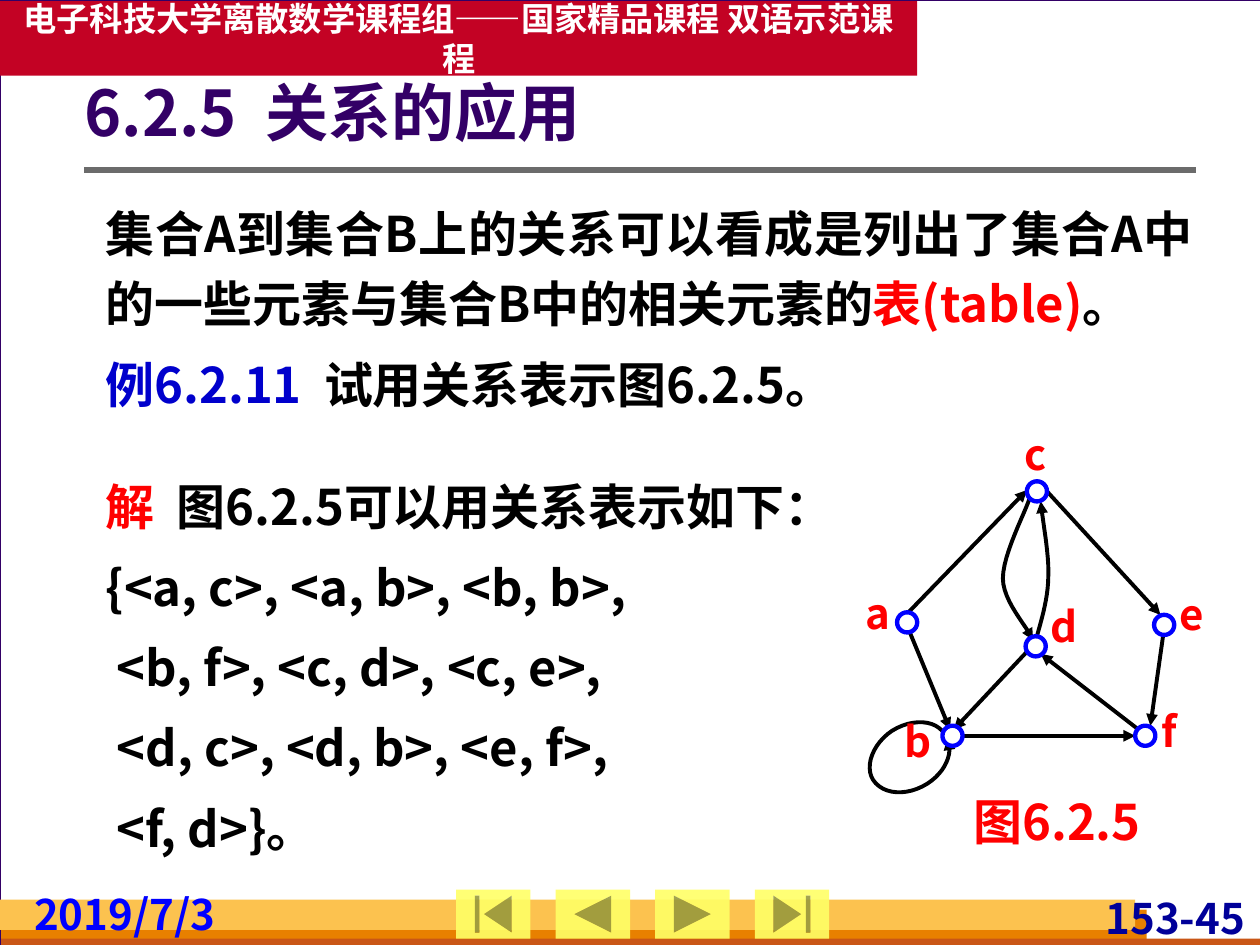
from pptx import Presentation
from pptx.dml.color import RGBColor
from pptx.enum.shapes import MSO_CONNECTOR, MSO_SHAPE
from pptx.enum.text import MSO_ANCHOR, PP_ALIGN
from pptx.oxml.ns import qn
from pptx.util import Inches, Pt
from lxml import etree

RECT, OVAL = MSO_SHAPE.RECTANGLE, MSO_SHAPE.OVAL
BEGIN, END = MSO_SHAPE.ACTION_BUTTON_BEGINNING, MSO_SHAPE.ACTION_BUTTON_END
BACK, NEXT = MSO_SHAPE.ACTION_BUTTON_BACK_OR_PREVIOUS, MSO_SHAPE.ACTION_BUTTON_FORWARD_OR_NEXT
STRAIGHT = MSO_CONNECTOR.STRAIGHT
TOP, MIDDLE = MSO_ANCHOR.TOP, MSO_ANCHOR.MIDDLE
LEFT, CENTER, RIGHT, JUST = PP_ALIGN.LEFT, PP_ALIGN.CENTER, PP_ALIGN.RIGHT, PP_ALIGN.JUSTIFY

THEME = {
    "font": "Noto Sans CJK SC",
    "back": "D8DADA", "white": "FFFFFF", "frame": "330066", "band": "C30224",
    "orange": "E88000", "rust": "C95616", "gold": "FCC24F", "rule": "6B6B6B",
    "button": "FFFF66", "black": "000000", "red": "FF0000", "blue": "0000FF",
    "navy": "000099", "mark": "0000CC",
    "head": 19, "title": 36, "body": 28, "small": 24,
}

BANDS = [
    ((0, 0, 10.01, 7.5), "white", "frame"),
    ((0, 0.01, 7.28, 0.59), "band", None),
    ((0.01, 7.22, 9.09, 0.28), "orange", None),
    ((0.01, 7.45, 10, 0.08), "rust", None),
    ((0, 7.14, 9.01, 0.24), "gold", None),
]
BUTTONS = [BEGIN, BACK, NEXT, END]

HEAD = [[("电子科技大学离散数学课程组——国家精品课程 双语示范课程", "white")]]
TITLE = [[("6.2.5  关系的应用", "frame")]]
BODY = [
    [("集合A到集合B上的关系可以看成是列出了集合A中的一些元素与集合B中的相关元素的", "black"),
     ("表(table)", "red"), ("。", "black")],
    [("例6.2.11  ", "mark"), ("试用关系表示图6.2.5。", "black")],
]
ANSWER = [
    [("解  ", "red"), ("图6.2.5可以用关系表示如下：", "black")],
    [("{<a, c>, <a, b>, <b, b>,", "black")],
    [("<b, f>, <c, d>, <c, e>,", "black")],
    [("<d, c>, <d, b>, <e, f>,", "black")],
    [("<f, d>}。", "black")],
]
TEXTS = [
    ((0, 0.01, 7.28, 0.59), HEAD, "head", {"align": CENTER, "anchor": MIDDLE, "wrap": False}),
    ((8.47, 7.08, 1.45, 0.4), [[("153-45", "navy")]], "small",
     {"align": RIGHT, "inset": (0.04, 0, 0.04, 0)}),
    ((0.23, 7.05, 1.65, 0.4), [[("2019/7/3", "blue")]], "small", {"inset": (0.04, 0, 0.04, 0)}),
    ((0.67, 0.6, 8.82, 0.64), TITLE, "title",
     {"anchor": MIDDLE, "inset": (0, 0.05, 0.1, 0.05), "pitch": 0.9}),
    ((0.74, 1.47, 8.82, 1.88), BODY, "body", {"align": JUST, "pitch": 1.2, "gap": 5.6}),
    ((0.74, 3.64, 7.14, 3.28), ANSWER, "body", {"pitch": 1.2, "gap": 5.6, "hang": (2, 0.09)}),
    ((7.49, 6.28, 1.8, 0.47), [[("图6.2.5", "red")]], "body",
     {"align": CENTER, "inset": (0, 0, 0, 0)}),
]

NODES = {
    "a": ((7.2, 4.94), (6.87, 4.66)),
    "b": ((7.56, 5.84), (7.18, 5.68)),
    "c": ((8.23, 3.9), (8.13, 3.4)),
    "d": ((8.22, 5.13), (8.34, 4.77)),
    "e": ((9.24, 4.96), (9.36, 4.67)),
    "f": ((9.09, 5.84), (9.22, 5.6)),
}
SIZE = 0.16
EDGES = [
    ((7.2, 4.87), (8.15, 3.89)),
    ((7.18, 4.92), (7.54, 5.79)),
    ((8.31, 3.9), (9.21, 4.88)),
    ((8.2, 5.12), (7.57, 5.79)),
    ((9.25, 4.91), (9.13, 5.76)),
    ((7.54, 5.84), (9.01, 5.84)),
    ((9.1, 5.84), (8.26, 5.19)),
]
CURVES = [
    [(7.5, 5.83), (7.43, 5.71), (7.24, 5.7), (7.08, 5.8), (6.93, 5.9), (6.86, 6.08),
     (6.93, 6.19), (7.01, 6.31), (7.2, 6.32), (7.36, 6.22), (7.5, 6.13), (7.57, 5.98),
     (7.52, 5.86)],
    [(8.23, 5.05), (8.25, 4.97), (8.32, 4.76), (8.32, 4.58), (8.33, 4.4), (8.27, 4.11),
     (8.26, 3.98)],
    [(8.17, 3.96), (8.14, 4.06), (7.96, 4.4), (7.96, 4.59), (7.96, 4.77), (8.15, 4.97),
     (8.2, 5.08)],
]
STEPS = 12


def tone(name):
    return RGBColor.from_string(THEME[name])


def apply(item, values):
    for name, value in values.items():
        setattr(item, name, value)


def stroke(line, color, width):
    line.color.rgb = tone(color)
    line.width = Pt(width)


def add_form(shapes, kind, place, fill, edge=None, width=0.75):
    form = shapes.add_shape(kind, *map(Inches, place))
    form.shadow.inherit = False
    form.fill.solid()
    form.fill.fore_color.rgb = tone(fill)
    if edge:
        stroke(form.line, edge, width)
    else:
        form.line.fill.background()
    return form


def add_text(shapes, place, lines, size, align=LEFT, anchor=TOP, wrap=True,
             inset=(0.1, 0.05, 0.1, 0.05), pitch=1, gap=0, hang=None):
    frame = shapes.add_textbox(*map(Inches, place)).text_frame
    sides = ("margin_left", "margin_top", "margin_right", "margin_bottom")
    apply(frame, {"word_wrap": wrap, "vertical_anchor": anchor,
                  **dict(zip(sides, map(Inches, inset)))})
    for row, parts in enumerate(lines):
        para = frame.paragraphs[0] if row == 0 else frame.add_paragraph()
        apply(para, {"alignment": align, "line_spacing": pitch,
                     "space_before": Pt(gap if row else 0)})
        if hang and row >= hang[0]:
            para._p.get_or_add_pPr().set("marL", str(Inches(hang[1])))
        for words, color in parts:
            run = para.add_run()
            run.text = words
            apply(run.font, {"name": THEME["font"], "size": Pt(THEME[size]), "bold": True})
            run.font.color.rgb = tone(color)
            etree.SubElement(run._r.rPr, qn("a:ea"), typeface=THEME["font"])


def add_line(shapes, start, end, color, width):
    link = shapes.add_connector(STRAIGHT, *map(Inches, (*start, *end)))
    stroke(link.line, color, width)
    etree.SubElement(link._element.spPr, qn("a:effectLst"))
    return link


def add_head(item):
    etree.SubElement(item.line._get_or_add_ln(), qn("a:tailEnd"), type="triangle")


def trace(knots):
    for at in range(0, len(knots) - 1, 3):
        for step in range(1, STEPS + 1):
            t = step / STEPS
            u = 1 - t
            parts = (u ** 3, 3 * u * u * t, 3 * u * t * t, t ** 3)
            yield tuple(Inches(sum(p * knot[axis] for p, knot in zip(parts, knots[at:at + 4])))
                        for axis in (0, 1))


def add_curve(shapes, knots):
    pen = shapes.build_freeform(*map(Inches, knots[0]))
    pen.add_line_segments(list(trace(knots)), close=False)
    curve = pen.convert_to_shape()
    curve.shadow.inherit = False
    curve.fill.background()
    stroke(curve.line, "black", 2.25)
    return curve


def main():
    deck = Presentation()
    apply(deck, {"slide_width": Inches(10), "slide_height": Inches(7.5)})
    slide = deck.slides.add_slide(deck.slide_layouts[6])
    slide.background.fill.solid()
    slide.background.fill.fore_color.rgb = tone("back")
    shapes = slide.shapes

    for place, fill, edge in BANDS:
        add_form(shapes, RECT, place, fill, edge)
    add_line(shapes, (0.67, 1.35), (9.49, 1.35), "rule", 3)
    for spot, kind in enumerate(BUTTONS):
        form = add_form(shapes, kind, (3.62 + 0.79 * spot, 7.06, 0.59, 0.39), "button")
        shade = form._element.spPr.find(qn("a:solidFill"))[0]
        etree.SubElement(shade, qn("a:alpha"), val="90000")
    for place, lines, size, style in TEXTS:
        add_text(shapes, place, lines, size, **style)

    for knots in CURVES:
        add_head(add_curve(shapes, knots))
    for start, end in EDGES:
        add_head(add_line(shapes, start, end, "black", 2.25))
    for name, ((x, y), label) in NODES.items():
        add_text(shapes, (*label, 0.3, 0.4), [[(name, "red")]], "small",
                 align=JUST, inset=(0, 0, 0, 0))
        add_form(shapes, OVAL, (x - SIZE / 2, y - SIZE / 2, SIZE, SIZE), "white", "blue", 2.5)

    deck.save("out.pptx")


if __name__ == "__main__":
    main()
